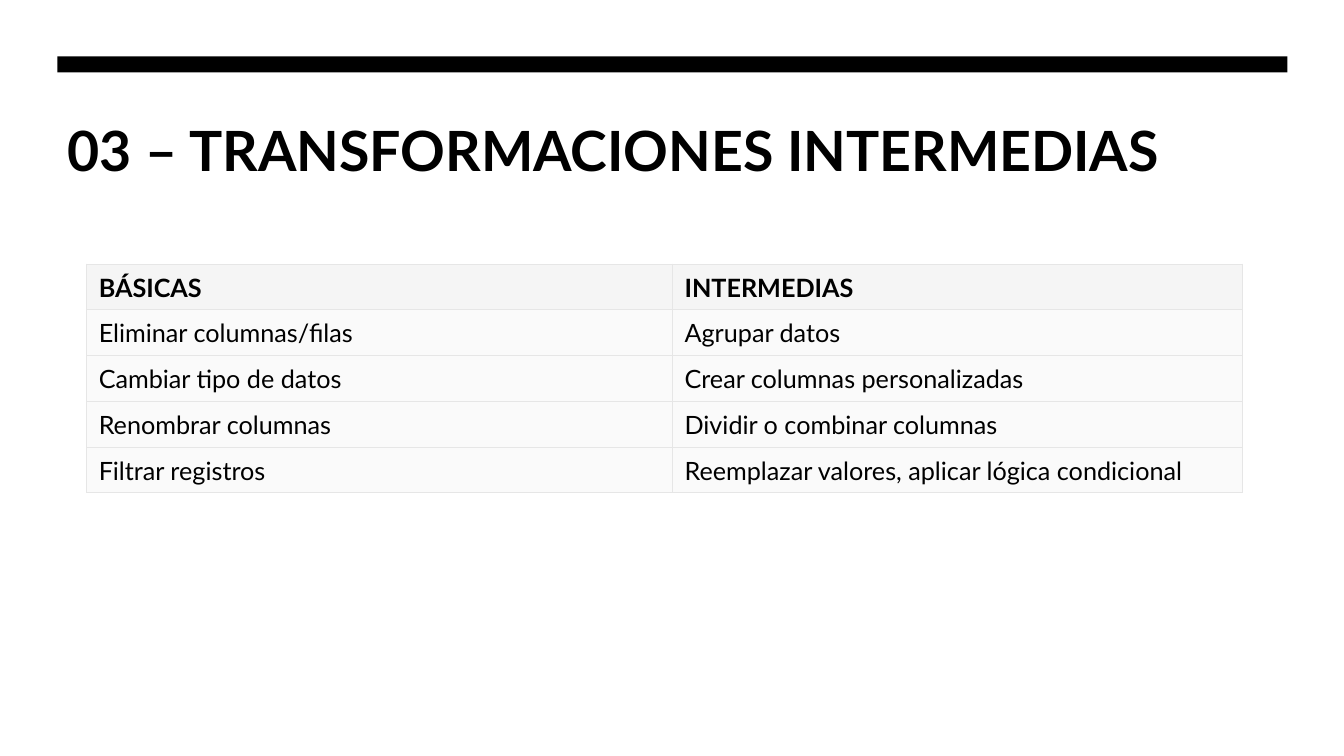
from dataclasses import dataclass

from lxml.etree import SubElement as Sub
from pptx import Presentation
from pptx.dml.color import RGBColor
from pptx.enum.shapes import MSO_SHAPE as Shape
from pptx.enum.text import MSO_ANCHOR as Anchor
from pptx.oxml.ns import qn
from pptx.slide import Slide
from pptx.table import _Cell as Cell
from pptx.text.text import TextFrame as Frame
from pptx.util import Inches, Pt

BLACK = RGBColor(0x00, 0x00, 0x00)
HEAD = RGBColor(0xF5, 0xF5, 0xF5)
BODY = RGBColor(0xFA, 0xFA, 0xFA)
EDGE = RGBColor(0xE6, 0xE6, 0xE6)
FONT = "Lato"
LEFT, WIDTH = 0.57, 12.2


@dataclass(frozen=True)
class Row:
    basic: str
    middle: str
    head: bool = False


ROWS = [
    Row("BÁSICAS", "INTERMEDIAS", True),
    Row("Eliminar columnas/filas", "Agrupar datos"),
    Row("Cambiar tipo de datos", "Crear columnas personalizadas"),
    Row("Renombrar columnas", "Dividir o combinar columnas"),
    Row("Filtrar registros", "Reemplazar valores, aplicar lógica condicional"),
]
COLS = (5.81, 5.65)
HIGH = 2.27


def write(frame: Frame, text: str, size: float, bold: bool) -> None:
    run = frame.paragraphs[0].add_run()
    run.text = text
    font = run.font
    font.name, font.size, font.bold = FONT, Pt(size), bold
    font.color.rgb = BLACK


def border(cell: Cell) -> None:
    props = cell._tc.get_or_add_tcPr()
    for index, side in enumerate(("lnL", "lnR", "lnT", "lnB")):
        line = props.makeelement(qn(f"a:{side}"), {"w": str(Pt(0.75))})
        props.insert(index, line)
        fill = Sub(line, qn("a:solidFill"))
        Sub(fill, qn("a:srgbClr"), {"val": str(EDGE)})


def fill_cell(cell: Cell, text: str, head: bool) -> None:
    cell.margin_left = Inches(0.12)
    cell.margin_top = cell.margin_right = Inches(0.08)
    cell.margin_bottom = Inches(0.07)
    cell.fill.solid()
    cell.fill.fore_color.rgb = HEAD if head else BODY
    border(cell)
    write(cell.text_frame, text, 18, head)


def add_bar(slide: Slide) -> None:
    bar = slide.shapes.add_shape(
        Shape.RECTANGLE, Inches(LEFT), Inches(0.56), Inches(WIDTH), Inches(0.16)
    )
    bar.shadow.inherit = False
    bar.fill.solid()
    bar.fill.fore_color.rgb = BLACK
    bar.line.fill.background()


def add_title(slide: Slide) -> None:
    box = slide.shapes.add_textbox(
        Inches(LEFT), Inches(1.07), Inches(WIDTH), Inches(0.82)
    )
    frame = box.text_frame
    frame.word_wrap = True
    frame.vertical_anchor = Anchor.MIDDLE
    write(frame, "03 – TRANSFORMACIONES INTERMEDIAS", 39.6, True)


def add_grid(slide: Slide) -> None:
    table = slide.shapes.add_table(
        len(ROWS), len(COLS),
        Inches(0.86), Inches(2.62), Inches(sum(COLS)), Inches(HIGH),
    ).table
    for col, width in zip(table.columns, COLS):
        col.width = Inches(width)
    for line, row in zip(table.rows, ROWS):
        line.height = Inches(HIGH / len(ROWS))
        for cell, text in zip(line.cells, (row.basic, row.middle)):
            fill_cell(cell, text, row.head)


def main() -> None:
    deck = Presentation()
    deck.slide_width, deck.slide_height = Inches(13.33), Inches(7.5)
    slide = deck.slides.add_slide(deck.slide_layouts[6])
    add_bar(slide)
    add_title(slide)
    add_grid(slide)
    deck.save("out.pptx")


if __name__ == "__main__":
    main()
